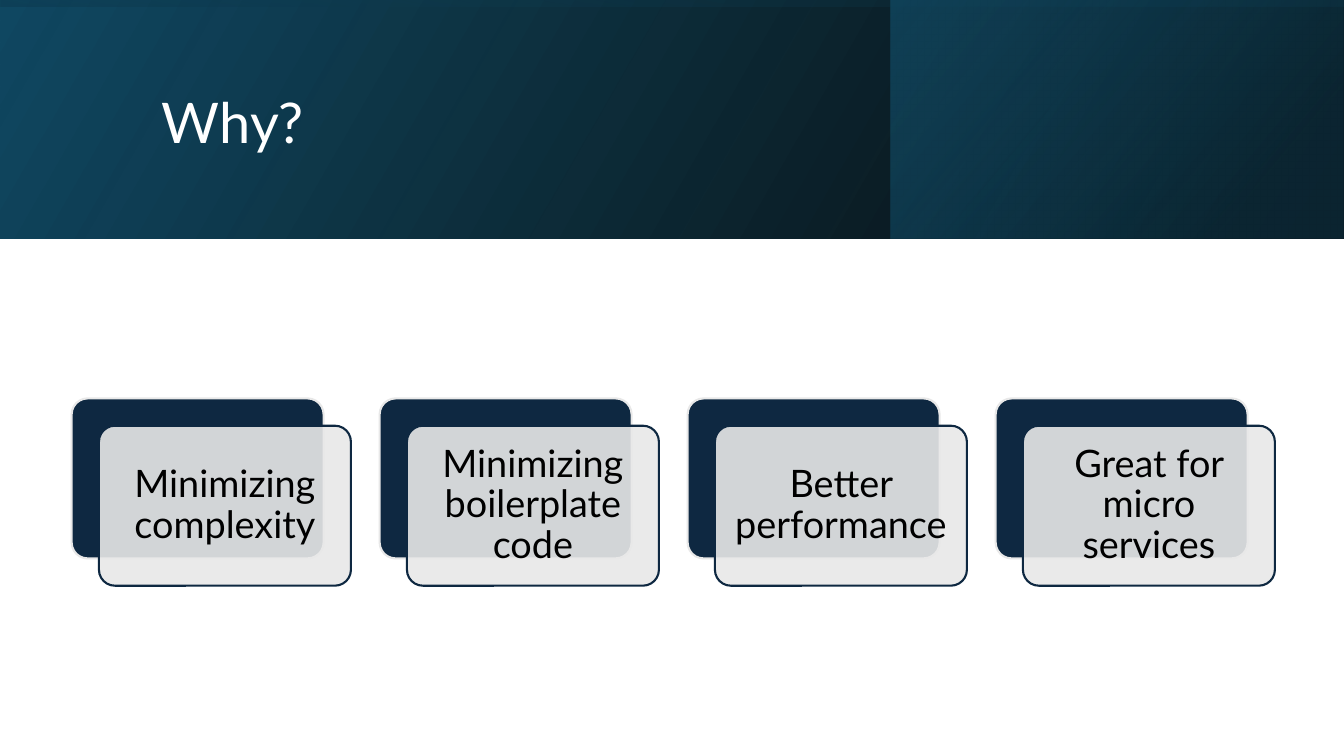
from lxml.etree import SubElement
from pptx import Presentation
from pptx.dml.color import RGBColor
from pptx.enum.shapes import MSO_SHAPE
from pptx.enum.text import MSO_ANCHOR, PP_ALIGN
from pptx.oxml import parse_xml
from pptx.oxml.ns import nsdecls, qn
from pptx.util import Pt

NAVY, PALE = "0E2841", "E8E8E8"
WIDTH, HEIGHT, BAND_HEIGHT = 960, 540, 170.6


def rgb(color):
    return RGBColor.from_string(color)


def style_text(frame, size, color, align):
    frame.word_wrap = True
    frame.vertical_anchor = MSO_ANCHOR.MIDDLE
    paragraph = frame.paragraphs[0]
    paragraph.alignment = align
    paragraph.line_spacing = 0.9
    font = paragraph.runs[0].font
    font.name, font.size, font.color.rgb = "Lato", Pt(size), rgb(color)


prs = Presentation()
prs.slide_width, prs.slide_height = Pt(WIDTH), Pt(HEIGHT)
slide = prs.slides.add_slide(prs.slide_layouts[5])

title = slide.shapes.title
title.left, title.top, title.width, title.height = Pt(108.5), Pt(27.4), Pt(765.5), Pt(123.8)
title.text_frame.text = "Why?"
style_text(title.text_frame, 40, "FFFFFF", PP_ALIGN.LEFT)

# Header bands: left, top, width, height, rotation, gradient angle,
# then stops as (position %, colour, opacity %)
turned_left = (WIDTH - BAND_HEIGHT) / 2
bands = [
    (0, 0, WIDTH, BAND_HEIGHT, 0, 330, [(0, "000000", 96), (100, "104862", 100)]),
    (636.5, 0, 323, BAND_HEIGHT, 0, 320, [(19, "0B3041", 68), (100, "156082", 48)]),
    (turned_left, -turned_left, BAND_HEIGHT, WIDTH, 270, 350,
     [(23, "104862", 16), (99, "000000", 45)]),
]
for left, top, width, height, rotation, angle, stops in bands:
    band = slide.shapes.add_shape(MSO_SHAPE.RECTANGLE, Pt(left), Pt(top), Pt(width), Pt(height))
    band.shadow.inherit = False
    band.line.fill.background()
    band.rotation = rotation
    properties = band.element.spPr
    properties.find(qn("a:xfrm")).set("flipH", "1")
    stop_xml = "".join(
        f'<a:gs pos="{position * 1000}"><a:srgbClr val="{color}">'
        f'<a:alpha val="{opacity * 1000}"/></a:srgbClr></a:gs>'
        for position, color, opacity in stops
    )
    gradient = parse_xml(
        f'<a:gradFill rotWithShape="1" {nsdecls("a")}><a:gsLst>{stop_xml}</a:gsLst>'
        f'<a:lin ang="{angle * 60000}" scaled="0"/></a:gradFill>'
    )
    properties.find(qn("a:prstGeom")).addnext(gradient)
    title.element.addprevious(band.element)

reasons = [
    "Minimizing complexity",
    "Minimizing boilerplate code",
    "Better performance",
    "Great for micro services",
]
CARD_LEFT, CARD_TOP, CARD_PITCH = 51.2, 284.6, 220
for index, reason in enumerate(reasons):
    for offset, fill, outline in [(0, NAVY, PALE), (19.5, PALE, NAVY)]:
        card = slide.shapes.add_shape(
            MSO_SHAPE.ROUNDED_RECTANGLE,
            Pt(CARD_LEFT + index * CARD_PITCH + offset), Pt(CARD_TOP + offset),
            Pt(180), Pt(114.3),
        )
        card.adjustments[0] = 0.1
        card.shadow.inherit = False
        card.fill.solid()
        card.fill.fore_color.rgb = rgb(fill)
        card.line.color.rgb = rgb(outline)
        card.line.width = Pt(1.5)

    # The front card is slightly see-through and carries the text
    front_color = card.element.spPr.find(qn("a:solidFill")).find(qn("a:srgbClr"))
    SubElement(front_color, qn("a:alpha")).set("val", "90000")
    frame = card.text_frame
    frame.margin_left = frame.margin_right = Pt(11)
    frame.margin_top = frame.margin_bottom = Pt(8)
    frame.text = reason
    style_text(frame, 27, "000000", PP_ALIGN.CENTER)

prs.save("out.pptx")
